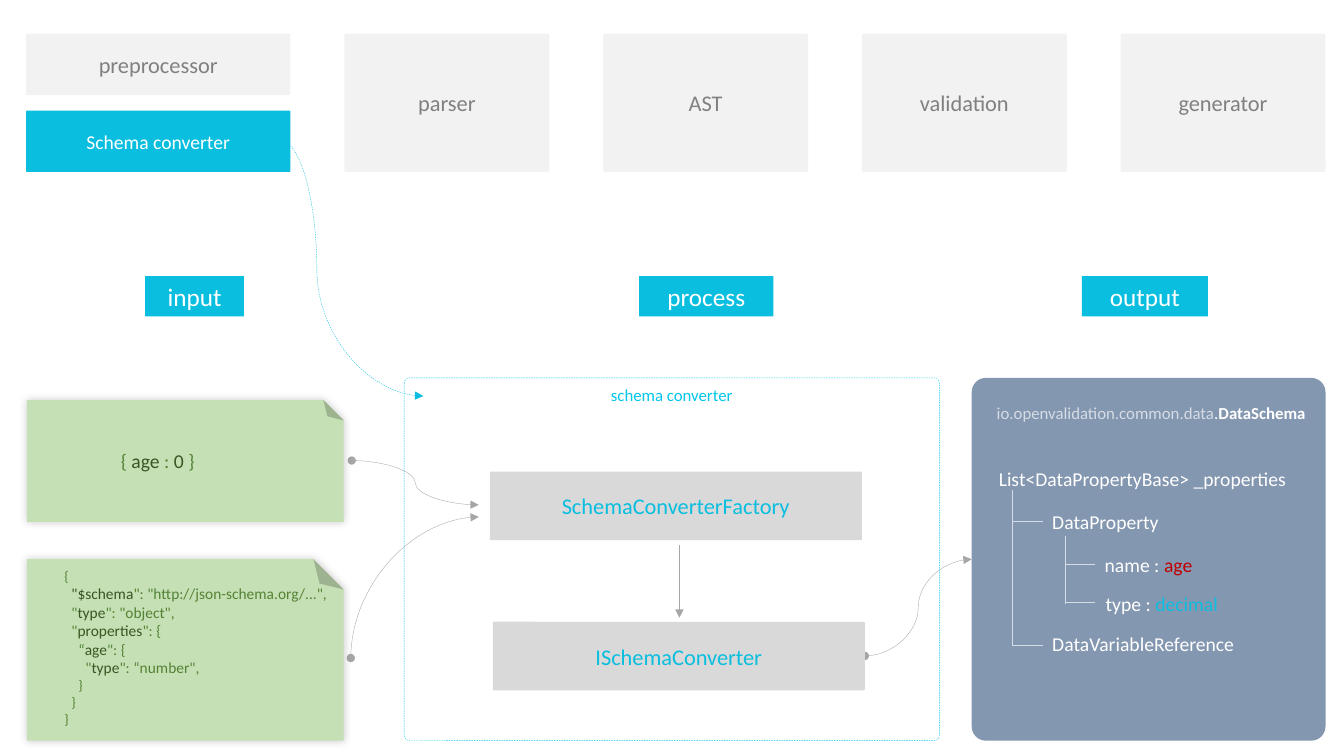
from dataclasses import dataclass

from lxml import etree
from pptx import Presentation
from pptx import util as u
from pptx.dml import color as dml
from pptx.enum import dml as lines, shapes, text
from pptx.oxml import ns


@dataclass(frozen=True)
class Theme:
    font: str = "Calibri"
    cyan: str = "09BEDF"
    frame: str = "00C7EA"
    white: str = "FFFFFF"
    pale: str = "F2F2F2"
    silver: str = "D9D9D9"
    grey: str = "808080"
    arrow: str = "A6A6A6"
    slate: str = "8497B0"
    mist: str = "D6DCE5"
    note: str = "C5E0B4"
    green: str = "548235"
    dark: str = "385723"
    red: str = "C00000"
    label: int = 18
    title: int = 16
    body: int = 14
    small: int = 12
    code: int = 11
    brace: int = 10
    hairline: float = 0.25
    indent: int = 5


@dataclass(frozen=True)
class Box:
    """A rectangle counted in grid columns and rows."""
    x: float
    y: float
    w: float
    h: float

    def inner(self, x, y, w, h):
        return Box(self.x + x, self.y + y, w, h)

    def point(self, x, y):
        return self.x + x, self.y + y


THEME = Theme()
DASH, DOTS = lines.MSO_LINE.DASH, lines.MSO_LINE.ROUND_DOT
CURVE, STRAIGHT = shapes.MSO_CONNECTOR.CURVE, shapes.MSO_CONNECTOR.STRAIGHT
RECT = shapes.MSO_SHAPE.RECTANGLE
ROUND = shapes.MSO_SHAPE.ROUNDED_RECTANGLE
FOLDED = shapes.MSO_SHAPE.FOLDED_CORNER

deck = Presentation()
deck.slide_width, deck.slide_height = u.Inches(13.33), u.Inches(7.5)
CELL = deck.slide_width / 40  # square grid cell: 40 columns, 22.5 rows


def cells(*counts):
    return [u.Emu(round(count * CELL)) for count in counts]


def rgb(value):
    return dml.RGBColor.from_string(value)


def add_xml(parent, tag, **attributes):
    return etree.SubElement(parent, ns.qn(tag), attributes)


def stroke(line, color, dash=None):
    line.color.rgb = rgb(color)
    line.width = u.Pt(THEME.hairline)
    if dash is not None:
        line.dash_style = dash


def write(para, spans, size):
    """Fill a paragraph with (wording, colour) spans."""
    for wording, color in spans:
        span = para.add_run()
        span.text = wording
        span.font.name, span.font.size = THEME.font, u.Pt(size)
        span.font.color.rgb = rgb(color)


def add_block(page, box, fill, kind=ROUND, corner=0.015):
    block = page.shapes.add_shape(kind, *cells(box.x, box.y, box.w, box.h))
    block.shadow.inherit = False
    block.line.fill.background()
    if kind == ROUND:
        block.adjustments[0] = corner
    if fill:
        block.fill.solid()
        block.fill.fore_color.rgb = rgb(fill)
    else:
        block.fill.background()
    return block


def add_caption(block, wording, color, size, anchor=text.MSO_ANCHOR.MIDDLE):
    frame = block.text_frame
    frame.vertical_anchor = anchor
    para = frame.paragraphs[0]
    para.alignment = text.PP_ALIGN.CENTER
    write(para, [(wording, color)], size)


def add_text(page, box, spans, size):
    frame = page.shapes.add_textbox(*cells(box.x, box.y, box.w, box.h)).text_frame
    frame.word_wrap = False
    write(frame.paragraphs[0], spans, size)
    return frame


def add_link(page, start, end, color, kind=STRAIGHT, dash=None, head=None, tail=None):
    link = page.shapes.add_connector(kind, *cells(*start, *end))
    stroke(link.line, color, dash)
    for tag, style in (("a:headEnd", head), ("a:tailEnd", tail)):
        if style:
            add_xml(link.line._get_or_add_ln(), tag, type=style)
    add_xml(link._element.spPr, "a:effectLst")
    return link


def add_curve(page, start, end, color, bend=0.5, dash=None):
    link = add_link(page, start, end, color, CURVE, dash, "oval", "triangle")
    guides = link._element.spPr.find(ns.qn("a:prstGeom")).get_or_add_avLst()
    add_xml(guides, "a:gd", name="adj1", fmla=f"val {round(bend * 100000)}")


def add_quarter_curve(page, start, end, color):
    """Leave upwards and arrive from the left: a quarter bend turned by 90°."""
    across, up = end[0] - start[0], start[1] - end[1]
    middle_x, middle_y = (start[0] + end[0]) / 2, (start[1] + end[1]) / 2
    link = add_link(page, (middle_x + up / 2, middle_y + across / 2),
                    (middle_x - up / 2, middle_y - across / 2),
                    color, CURVE, None, "oval", "triangle")
    properties = link._element.spPr
    properties.find(ns.qn("a:xfrm")).set("rot", str(90 * 60000))
    properties.find(ns.qn("a:prstGeom")).set("prst", "curvedConnector2")


def add_note(page, box):
    note = add_block(page, box, THEME.note, FOLDED)
    properties = note._element.spPr
    properties.find(ns.qn("a:xfrm")).set("flipV", "1")
    shadow = add_xml(properties.find(ns.qn("a:effectLst")), "a:outerShdw",
                     blurRad=str(u.Pt(6)), dist="0", dir=str(315 * 60000))
    add_xml(add_xml(shadow, "a:srgbClr", val="000000"), "a:alpha", val="20000")


def draw_links(page, box):
    add_curve(page, box.point(8.43, 4.23), box.point(12.6, 11.79), THEME.cyan, 0.24, DASH)
    add_curve(page, box.point(10.47, 13.71), box.point(14.25, 15.03), THEME.arrow)
    add_curve(page, box.point(25.74, 19.53), box.point(28.92, 16.65), THEME.arrow)
    add_quarter_curve(page, box.point(10.44, 19.59), box.point(14.25, 15.39), THEME.arrow)


def draw_pipeline(page, box):
    first, half, width, pitch = 7.86, 1.83, 6.1, 7.7
    add_caption(add_block(page, box.inner(0, 0, first, half), THEME.pale),
                "preprocessor", THEME.grey, THEME.title)
    add_caption(add_block(page, box.inner(0, box.h - half, first, half), THEME.cyan),
                "Schema converter", THEME.white, THEME.body)
    stages = ["parser", "AST", "validation", "generator"]
    for place, stage in enumerate(reversed(stages)):
        left = box.w - width - place * pitch
        add_caption(add_block(page, box.inner(left, 0, width, box.h), THEME.pale),
                    stage, THEME.grey, THEME.title)


def draw_labels(page, box):
    for wording, left, width in (("input", 4.32, 2.94), ("process", 19.02, 4),
                                 ("output", 32.2, 3.75)):
        add_caption(add_block(page, box.inner(left, 0, width, box.h), THEME.cyan, RECT),
                    wording, THEME.white, THEME.label)


def draw_inputs(page, box):
    green, dark = THEME.green, THEME.dark
    # Sample value
    add_note(page, box.inner(0, 0, box.w, 3.63))
    add_text(page, box.inner(2.49, 1.32, 2.82, 1.02),
             [("{ ", green), ("age ", dark), (": ", green), ("0", dark), (" }", green)],
             THEME.body)
    # JSON schema: level, opening, key, rest
    add_note(page, box.inner(0, 4.74, box.w, 5.4))
    schema = [(0, "{", "", ""),
              (1, "", '"$schema', '": "http://json-schema.org/...",'),
              (1, '"', "type", '": "object",'),
              (1, '"', "properties", '": {'),
              (2, "“", "age", '": {'),
              (3, '"', "type", '": “number",'),
              (2, "}", "", ""), (1, "}", "", ""), (0, "}", "", "")]
    frame = add_text(page, box.inner(0.81, 4.83, 8.94, 5.31), [], THEME.code)
    frame.word_wrap = True
    for number, (level, opening, key, rest) in enumerate(schema):
        para = frame.add_paragraph() if number else frame.paragraphs[0]
        para._p.get_or_add_pPr().set("marL", str(u.Pt(level * THEME.indent)))
        spans = [(opening, green), (key, dark), (rest, green)]
        write(para, [span for span in spans if span[0]],
              THEME.code if key else THEME.brace)


def draw_process(page, box):
    frame = add_block(page, box, None)
    stroke(frame.line, THEME.frame, DASH)
    add_caption(frame, "schema converter", THEME.frame, THEME.small, text.MSO_ANCHOR.TOP)
    for wording, left, top in (("SchemaConverterFactory", 2.55, 2.79),
                               ("ISchemaConverter", 2.64, 7.26)):
        add_caption(add_block(page, box.inner(left, top, 11.07, 2.04), THEME.silver),
                    wording, THEME.cyan, THEME.title)
    add_link(page, box.point(8.19, 4.98), box.point(8.19, 7.14), THEME.arrow, tail="triangle")


def draw_output(page, box):
    white = THEME.white
    add_block(page, box, THEME.slate, corner=0.04)
    heading = add_text(page, box.inner(0.45, 0.6, 9.87, 0.9),
                       [("io.openvalidation.common.data", THEME.mist), (".", white),
                        ("DataSchema", white)], THEME.small)
    heading.paragraphs[0].runs[-1].font.bold = True
    # Property tree
    for left, top, width, spans in (
            (0.51, 2.49, 9.27, [("List<DataPropertyBase> _properties", white)]),
            (2.1, 3.78, 3.81, [("DataProperty", white)]),
            (3.66, 5.07, 3.24, [("name : ", white), ("age", THEME.red)]),
            (3.69, 6.21, 3.99, [("type : ", white), ("decimal", THEME.cyan)]),
            (2.1, 7.41, 6.09, [("DataVariableReference", white)])):
        add_text(page, box.inner(left, top, width, 1.02), spans, THEME.body)
    # Trunks with their branches
    for trunk, top, tip, branches in ((1.2, 3.33, 2.1, (4.26, 7.95)),
                                      (2.79, 4.71, 3.66, (5.55, 6.69))):
        add_link(page, box.point(trunk, top), box.point(trunk, branches[-1]), THEME.mist, dash=DOTS)
        for row in branches:
            add_link(page, box.point(tip, row), box.point(trunk, row), THEME.mist, dash=DOTS)


def main():
    page = deck.slides.add_slide(deck.slide_layouts[6])
    draw_links(page, Box(0, 0, 40, 22.5))
    draw_pipeline(page, Box(0.78, 1, 38.67, 4.12))
    draw_labels(page, Box(0, 8.22, 40, 1.2))
    draw_inputs(page, Box(0.81, 11.91, 9.42, 10.14))
    draw_process(page, Box(12.03, 11.25, 15.93, 10.8))
    draw_output(page, Box(28.92, 11.25, 10.53, 10.8))
    deck.save("out.pptx")


if __name__ == "__main__":
    main()
